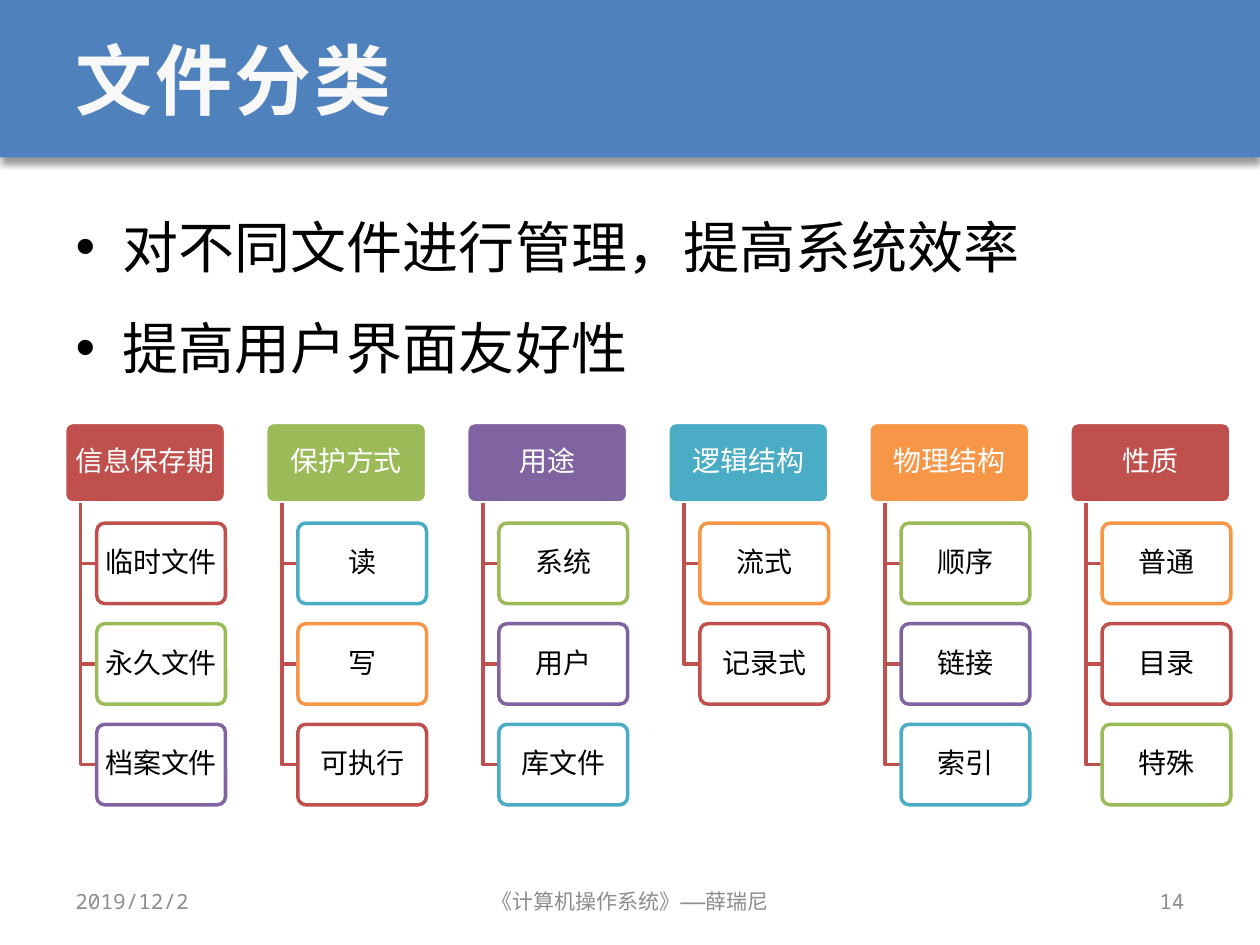
from itertools import cycle

from lxml import etree
from pptx import Presentation
from pptx.dml.color import RGBColor
from pptx.enum.shapes import MSO_SHAPE
from pptx.enum.text import MSO_ANCHOR, MSO_AUTO_SIZE, PP_ALIGN
from pptx.oxml.ns import qn
from pptx.util import Pt

LEFT, CENTER, RIGHT = PP_ALIGN.LEFT, PP_ALIGN.CENTER, PP_ALIGN.RIGHT
MIDDLE, TOP = MSO_ANCHOR.MIDDLE, MSO_ANCHOR.TOP
NO_AUTOFIT = MSO_AUTO_SIZE.NONE
RECTANGLE, ROUNDED = MSO_SHAPE.RECTANGLE, MSO_SHAPE.ROUNDED_RECTANGLE

MONO, SANS, CJK = "Noto Sans Mono", "Arial", "Noto Sans CJK SC"
RED, BLUE, WHITE, BLACK, GRAY = "C0504D", "4F81BD", "FFFFFF", "000000", "8C8C8C"
ACCENTS = [RED, "9BBB59", "8064A2", "4BACC6", "F79646"]

CATEGORIES = [
    ("信息保存期", ["临时文件", "永久文件", "档案文件"], CJK),
    ("保护方式", ["读", "写", "可执行"], SANS),
    ("用途", ["系统", "用户", "库文件"], SANS),
    ("逻辑结构", ["流式", "记录式"], SANS),
    ("物理结构", ["顺序", "链接", "索引"], SANS),
    ("性质", ["普通", "目录", "特殊"], SANS),
]


def rgb(color):
    return RGBColor.from_string(color)


def add_element(parent, tag, **attributes):
    return etree.SubElement(parent, qn(tag), attributes)


def place(shape, left, top, width, height):
    shape.left, shape.top = Pt(left), Pt(top)
    shape.width, shape.height = Pt(width), Pt(height)


def write(shape, *lines, size, font, color, bold=False, tracking=None, align=LEFT,
          anchor=MIDDLE, spacing=None, before=0, margins=(7.2, 3.6)):
    """Fill the shape with one paragraph per line; before applies from the second on."""
    frame = shape.text_frame
    frame.word_wrap, frame.auto_size = True, NO_AUTOFIT
    frame.vertical_anchor = anchor
    frame.margin_left = frame.margin_right = Pt(margins[0])
    frame.margin_top = frame.margin_bottom = Pt(margins[1])
    for index, line in enumerate(lines):
        paragraph = frame.add_paragraph() if index else frame.paragraphs[0]
        paragraph.alignment = align
        paragraph.space_before = Pt(before if index else 0)
        if spacing:
            paragraph.line_spacing = spacing
        run = paragraph.add_run()
        run.text = line
        run.font.size, run.font.bold = Pt(size), bold
        run.font.color.rgb = rgb(color)
        run.font.name = font
        properties = run.font._element
        add_element(properties, "a:ea", typeface=font)
        if tracking:
            properties.set("spc", str(round(tracking * 100)))


def add_box(slide, kind, left, top, width, height, fill, line=None, opacity=None):
    box = slide.shapes.add_shape(kind, Pt(left), Pt(top), Pt(width), Pt(height))
    box.shadow.inherit = False
    box.fill.solid()
    box.fill.fore_color.rgb = rgb(fill)
    if opacity:
        fill_color = box._element.spPr.find(qn("a:solidFill"))[0]
        add_element(fill_color, "a:alpha", val=str(opacity * 1000))
    if line:
        box.line.color.rgb = rgb(line)
        box.line.width = Pt(2)
    else:
        box.line.fill.background()
    return box


def add_header(slide, left, top, width, height):
    band = add_box(slide, RECTANGLE, left, top, width, height, BLUE)
    effects = band._element.spPr.find(qn("a:effectLst"))
    shadow = add_element(effects, "a:outerShdw", blurRad=str(Pt(4)), dist=str(Pt(3)),
                         dir="5400000", algn="t", rotWithShape="0")
    shadow_color = add_element(shadow, "a:srgbClr", val=BLACK)
    add_element(shadow_color, "a:alpha", val="40000")
    slide.shapes._spTree.insert(2, band._element)

    title = slide.shapes.title
    place(title, left + 36, top, width - 72, height)
    write(title, "文件分类", size=44, font=MONO, color="F8F8F8", bold=True, tracking=1.5)


def add_goals(slide, left, top, width, height):
    goals = slide.placeholders[1]
    place(goals, left, top, width, height)
    write(goals, "对不同文件进行管理，提高系统效率", "提高用户界面友好性",
          size=32, font=MONO, color=BLACK, anchor=TOP, spacing=1.3, before=7.5)


def add_branch(slide, left, top, right, bottom):
    """Draw the elbow from a category down and across to one of its kinds."""
    builder = slide.shapes.build_freeform(Pt(left), Pt(top))
    builder.add_line_segments([(Pt(left), Pt(bottom)), (Pt(right), Pt(bottom))], close=False)
    branch = builder.convert_to_shape()
    branch.shadow.inherit = False
    branch.fill.background()
    branch.line.color.rgb = rgb(RED)
    branch.line.width = Pt(2)


def add_category(slide, left, top, width, height, name, kinds, kind_font, color, kind_colors):
    label = dict(size=16, align=CENTER, spacing=0.9, margins=(3.5, 2.9))
    heading = add_box(slide, ROUNDED, left, top, width, height, color, WHITE)
    heading.adjustments[0] = 0.1
    write(heading, name, font=SANS, color=WHITE, **label)

    indent, pitch = width * 0.2, height * 1.25
    for row, kind in enumerate(kinds, start=1):
        kind_top = top + row * pitch
        add_branch(slide, left + indent / 2, top + height, left + indent, kind_top + height / 2)
        card = add_box(slide, ROUNDED, left + indent, kind_top, width * 0.8, height,
                       WHITE, next(kind_colors), opacity=90)
        card.adjustments[0] = 0.1
        write(card, kind, font=kind_font, color=BLACK, **label)


def add_classification(slide, left, top, width):
    column_width = 92
    pitch = (width - column_width) / (len(CATEGORIES) - 1)
    kind_colors = cycle(ACCENTS)
    for column, ((name, kinds, font), color) in enumerate(zip(CATEGORIES, cycle(ACCENTS))):
        add_category(slide, left + column * pitch, top, column_width, 46,
                     name, kinds, font, color, kind_colors)


def add_footer(slide, left, top, width, height):
    side, middle = 168, 228
    parts = [
        ("2019/12/2", left, side, LEFT),
        ("《计算机操作系统》——薛瑞尼", left + (width - middle) / 2, middle, CENTER),
        ("14", left + width - side, side, RIGHT),
    ]
    for text, part_left, part_width, align in parts:
        part = slide.shapes.add_textbox(Pt(part_left), Pt(top), Pt(part_width), Pt(height))
        write(part, text, size=12, font=MONO, color=GRAY, align=align)


def main():
    deck = Presentation()
    deck.slide_width, deck.slide_height = Pt(720), Pt(540)
    slide = deck.slides.add_slide(deck.slide_layouts[1])
    add_header(slide, 0, 0, 720, 90)
    add_goals(slide, 36, 106.5, 648, 384)
    add_footer(slide, 36, 500.5, 648, 28.8)
    add_classification(slide, 36.9, 241.4, 666.5)
    deck.save("out.pptx")


if __name__ == "__main__":
    main()
